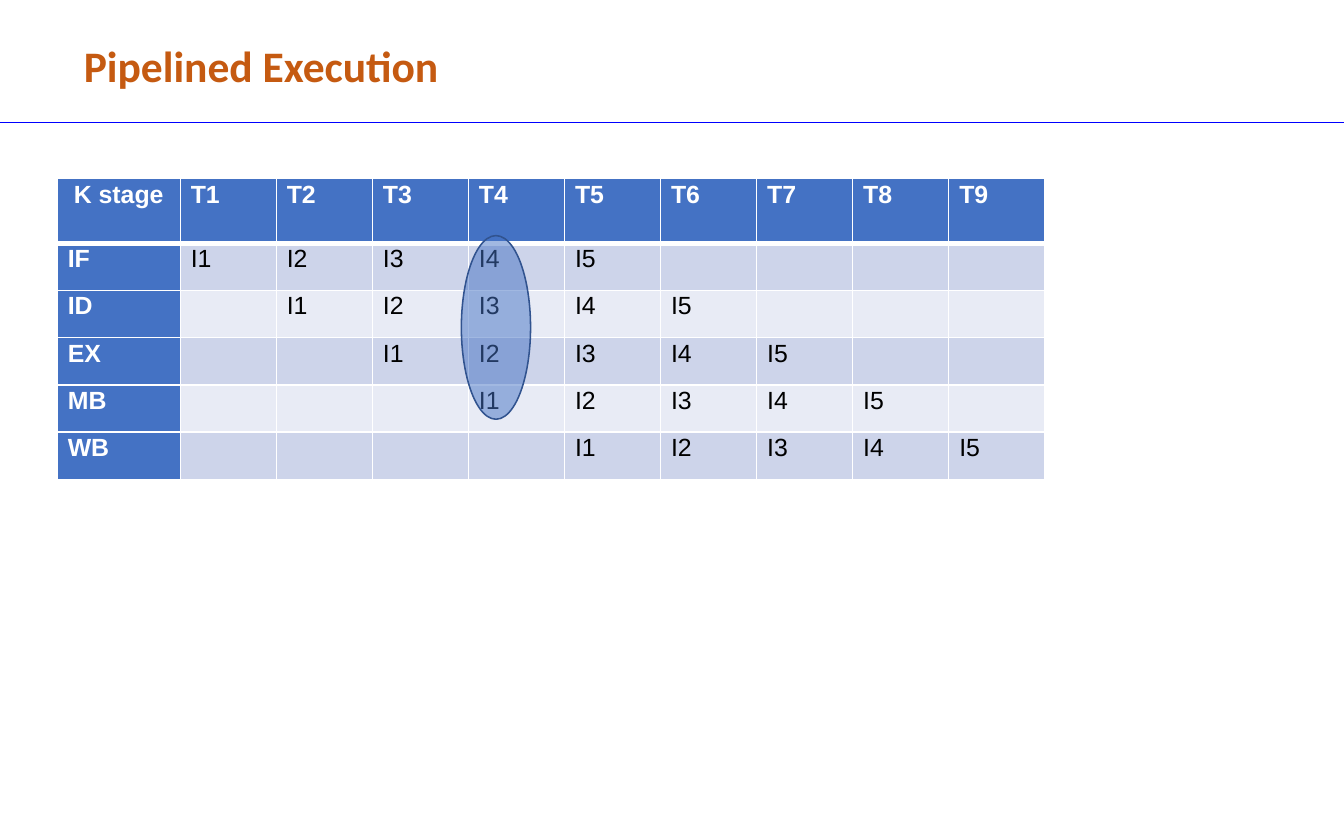
from dataclasses import dataclass

from lxml.etree import SubElement
from pptx import Presentation
from pptx.dml.color import RGBColor
from pptx.enum.shapes import MSO_CONNECTOR, MSO_SHAPE
from pptx.enum.text import MSO_ANCHOR, MSO_AUTO_SIZE, PP_ALIGN
from pptx.oxml.ns import qn
from pptx.slide import Slide
from pptx.table import Table, _Cell
from pptx.util import Cm, Pt


@dataclass(frozen=True)
class Theme:
    title: str = "C55A11"
    rule: str = "0000FF"
    head: str = "4472C4"
    edge: str = "31538F"
    dark: str = "CDD4EA"
    light: str = "E8EBF5"
    white: str = "FFFFFF"
    black: str = "000000"
    title_font: str = "Calibri"
    cell_font: str = "Arial"
    title_size: int = 28
    cell_size: int = 16


@dataclass(frozen=True)
class Stage:
    name: str
    start: int


@dataclass(frozen=True)
class Look:
    fill: str
    ink: str
    bold: bool


THEME = Theme()
STAGES = [Stage(name, start) for start, name in enumerate(("IF", "ID", "EX", "MB", "WB"), 1)]
TASKS = 5
TIMES = 9
HEAD = Look(THEME.head, THEME.white, True)
BANDS = [Look(THEME.dark, THEME.black, False), Look(THEME.light, THEME.black, False)]


def color(code: str) -> RGBColor:
    return RGBColor.from_string(code)


def add_title(slide: Slide) -> None:
    title = slide.shapes.title
    title.left, title.top, title.width, title.height = Cm(1.65), Cm(0.76), Cm(10.39), Cm(1.45)
    frame = title.text_frame
    frame.text = "Pipelined Execution"
    frame.auto_size = MSO_AUTO_SIZE.SHAPE_TO_FIT_TEXT
    frame.vertical_anchor = MSO_ANCHOR.TOP
    frame.paragraphs[0].alignment = PP_ALIGN.LEFT
    font = frame.paragraphs[0].runs[0].font
    font.name, font.size, font.bold = THEME.title_font, Pt(THEME.title_size), True
    font.color.rgb = color(THEME.title)


def add_rule(slide: Slide, width: int) -> None:
    rule = slide.shapes.add_connector(MSO_CONNECTOR.STRAIGHT, 0, Cm(2.79), width, Cm(2.79))
    rule.line.color.rgb = color(THEME.rule)
    rule.line.width = Pt(0.75)
    SubElement(rule._element.spPr, qn("a:effectLst"))


def add_edges(cell: _Cell, row: int) -> None:
    sizes = {"L": 1, "R": 1, "T": 3 if row == 1 else 1, "B": 3 if row == 0 else 1}
    props = cell._tc.get_or_add_tcPr()
    for side, size in sizes.items():
        line = SubElement(props, qn(f"a:ln{side}"), w=str(Pt(size)))
        fill = SubElement(line, qn("a:solidFill"))
        SubElement(fill, qn("a:srgbClr"), val=THEME.white)


def fill_cell(table: Table, row: int, col: int, text: str, look: Look) -> None:
    cell = table.cell(row, col)
    add_edges(cell, row)
    cell.fill.solid()
    cell.fill.fore_color.rgb = color(look.fill)
    cell.margin_left = cell.margin_right = Cm(0.24)
    cell.margin_top = cell.margin_bottom = 0
    if not text:
        return
    cell.text_frame.text = text
    line = cell.text_frame.paragraphs[0]
    line.line_spacing = 1.07
    line.alignment = PP_ALIGN.CENTER if row == col == 0 else PP_ALIGN.LEFT
    font = line.runs[0].font
    font.name, font.size, font.bold = THEME.cell_font, Pt(THEME.cell_size), look.bold
    font.color.rgb = color(look.ink)


def add_grid(slide: Slide) -> None:
    widths = [Cm(2.79)] + [Cm(2.18)] * TIMES
    heights = [Cm(1.47)] + [Cm(1.07)] * len(STAGES)
    table = slide.shapes.add_table(
        len(heights), len(widths), Cm(1.3), Cm(4.06), sum(widths), sum(heights)
    ).table
    table.horz_banding = False
    for column, width in zip(table.columns, widths):
        column.width = width
    for line, height in zip(table.rows, heights):
        line.height = height

    fill_cell(table, 0, 0, "K stage", HEAD)
    for time in range(1, TIMES + 1):
        fill_cell(table, 0, time, f"T{time}", HEAD)
    for row, stage in enumerate(STAGES, 1):
        fill_cell(table, row, 0, stage.name, HEAD)
        for time in range(1, TIMES + 1):
            task = time - stage.start + 1
            text = f"I{task}" if 1 <= task <= TASKS else ""
            fill_cell(table, row, time, text, BANDS[(row - 1) % 2])


def add_mark(slide: Slide) -> None:
    mark = slide.shapes.add_shape(MSO_SHAPE.OVAL, Cm(9.17), Cm(6.65), Cm(4.17), Cm(1.57))
    mark.rotation = 90
    mark.shadow.inherit = False
    mark.fill.solid()
    mark.fill.fore_color.rgb = color(THEME.head)
    tint = mark._element.spPr.find(qn("a:solidFill")).find(qn("a:srgbClr"))
    SubElement(tint, qn("a:alpha"), val="50000")
    mark.line.color.rgb = color(THEME.edge)
    mark.line.width = Pt(1)


def main() -> None:
    deck = Presentation()
    deck.slide_width, deck.slide_height = Cm(30.5), Cm(19.05)
    slide = deck.slides.add_slide(deck.slide_layouts[5])
    add_rule(slide, deck.slide_width)
    add_grid(slide)
    add_mark(slide)
    add_title(slide)
    deck.save("out.pptx")


if __name__ == "__main__":
    main()
